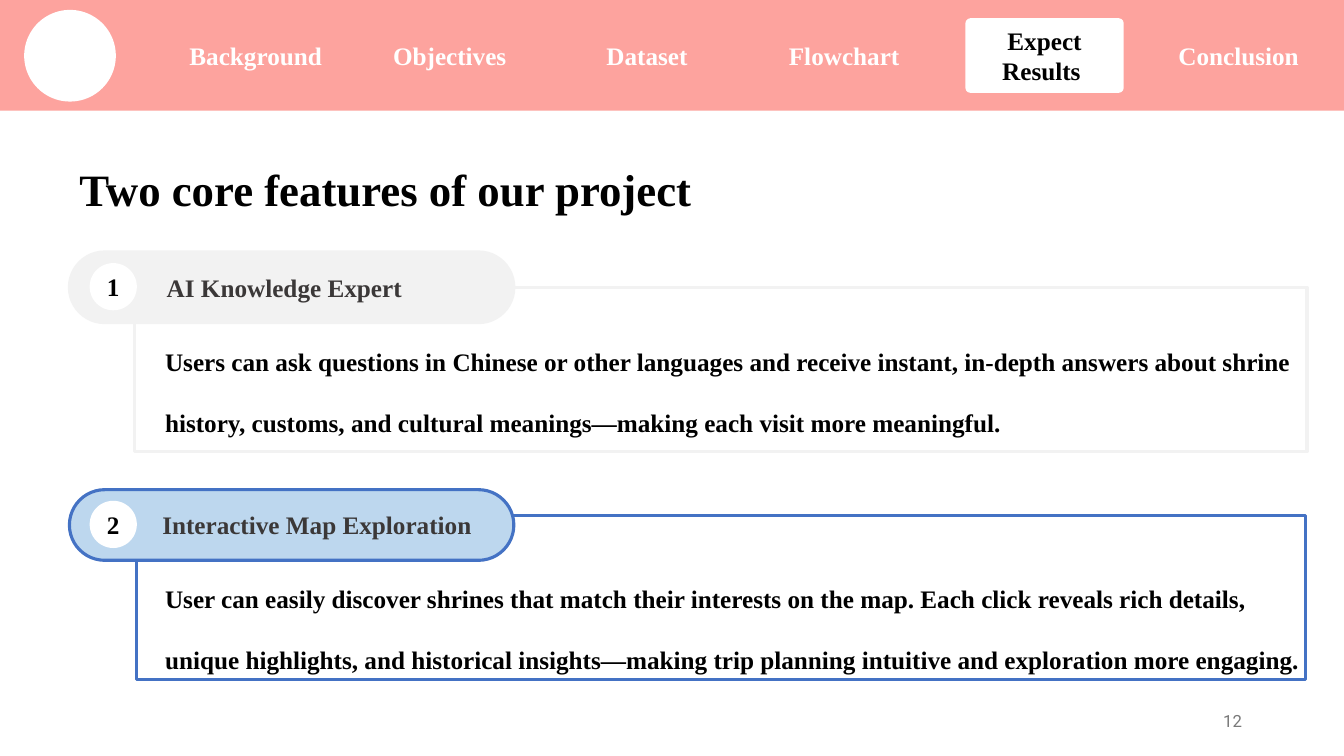
from dataclasses import dataclass
from typing import Optional

from pptx import Presentation
from pptx.dml.color import RGBColor
from pptx.enum.shapes import MSO_SHAPE as Kind
from pptx.enum.text import MSO_ANCHOR as Anchor, PP_ALIGN as Align
from pptx.util import Cm, Pt

WHITE, BLACK, CORAL = "FFFFFF", "000000", "FDA39E"
GREY, DARK, BLUE, SKY = "F2F2F2", "3B3838", "4472C4", "BDD7EE"
SERIF = {"name": "Times New Roman", "size": Pt(18), "bold": True}
PILL_LEFT, PILL_WIDE, PILL_HIGH = 1.75, 11.2, 1.78
TAB_LEFT, TAB_STEP = 4.45, 4.97
TABS = ["Background ", "Objectives ", "Dataset ", "Flowchart ",
        "Expect Results ", "Conclusion "]
ACTIVE = 4


@dataclass
class Box:
    left: float
    top: float
    width: float
    height: float


@dataclass
class Feature:
    title: str
    body: str
    top: float
    fill: str
    edge: str
    frame: Box
    label: Box
    text: Box
    align: Align
    back: Optional[str] = None


FEATURES = [
    Feature("AI Knowledge Expert",
            "Users can ask questions in Chinese or other languages and receive "
            "instant, in-depth answers about shrine history, customs, and "
            "cultural meanings—making each visit more meaningful.",
            6.35, GREY, GREY, Box(3.4, 7.24, 29.54, 4.14),
            Box(3.84, 6.73, 6.65, 1.02), Box(3.91, 7.85, 29.01, 3.1),
            Align.CENTER, GREY),
    Feature("Interactive Map Exploration",
            "User can easily discover shrines that match their interests on "
            "the map. Each click reveals rich details, unique highlights, and "
            "historical insights—making trip planning intuitive and "
            "exploration more engaging.",
            12.34, SKY, BLUE, Box(3.45, 12.98, 29.46, 4.14),
            Box(3.84, 12.7, 8.38, 1.02), Box(3.91, 13.82, 29.54, 3.1),
            Align.LEFT),
]


def paint(hue: str) -> RGBColor:
    return RGBColor.from_string(hue)


def place(box: Box) -> list:
    return [Cm(n) for n in (box.left, box.top, box.width, box.height)]


def draw(slide, kind: Kind, box: Box, fill: Optional[str] = None,
         edge: Optional[str] = None, round_by: Optional[float] = None):
    shape = slide.shapes.add_shape(kind, *place(box))
    shape.shadow.inherit = False
    if fill:
        shape.fill.solid()
        shape.fill.fore_color.rgb = paint(fill)
    else:
        shape.fill.background()
    if edge:
        shape.line.color.rgb = paint(edge)
        shape.line.width = Pt(2.25)
    else:
        shape.line.fill.background()
    if round_by is not None:
        shape.adjustments[0] = round_by
    return shape


def write(shape, text: str, hue: str = BLACK, align: Align = Align.LEFT,
          anchor: Anchor = Anchor.TOP, wrap: bool = True,
          space: float = 1.0, **font) -> None:
    frame = shape.text_frame
    frame.word_wrap, frame.vertical_anchor = wrap, anchor
    para = frame.paragraphs[0]
    para.alignment, para.line_spacing = align, space
    run = para.add_run()
    run.text = text
    for key, value in {**SERIF, **font}.items():
        setattr(run.font, key, value)
    run.font.color.rgb = paint(hue)


def add_text(slide, box: Box, text: str, **style) -> None:
    write(slide.shapes.add_textbox(*place(box)), text, **style)


def add_header(slide) -> None:
    draw(slide, Kind.RECTANGLE, Box(0, 0, 33.87, 2.79), CORAL)
    draw(slide, Kind.OVAL, Box(0.61, 0.25, 2.31, 2.31), WHITE)
    for i, name in enumerate(TABS):
        on = i == ACTIVE
        tab = draw(slide, Kind.ROUNDED_RECTANGLE,
                   Box(TAB_LEFT + i * TAB_STEP, 0.46, 3.99, 1.88),
                   WHITE if on else None, round_by=0.066)
        write(tab, name, BLACK if on else WHITE, Align.CENTER, Anchor.MIDDLE)


def add_feature(slide, num: int, item: Feature) -> None:
    draw(slide, Kind.RECTANGLE, item.frame, edge=item.edge)
    add_text(slide, item.text, item.body, space=2.0)
    draw(slide, Kind.ROUNDED_RECTANGLE,
         Box(PILL_LEFT, item.top, PILL_WIDE, PILL_HIGH),
         item.fill, item.edge, 0.5)
    label = draw(slide, Kind.RECTANGLE, item.label, item.back)
    write(label, item.title, DARK, item.align, wrap=False)
    badge = draw(slide, Kind.OVAL, Box(2.26, item.top + 0.28, 1.19, 1.19),
                 WHITE)
    write(badge, str(num), BLACK, Align.CENTER, Anchor.MIDDLE, wrap=False)


def main() -> None:
    deck = Presentation()
    deck.slide_width, deck.slide_height = Cm(33.87), Cm(19.05)
    slide = deck.slides.add_slide(deck.slide_layouts[6])
    add_header(slide)
    add_text(slide, Box(1.75, 3.94, 16.92, 1.63),
             "Two core features of our project", size=Pt(32))
    for num, item in enumerate(FEATURES, 1):
        add_feature(slide, num, item)
    add_text(slide, Box(23.93, 17.65, 7.62, 1.02), "12", hue="797979",
             align=Align.RIGHT, anchor=Anchor.MIDDLE,
             name="Roboto", size=Pt(12), bold=False)
    deck.save("out.pptx")


if __name__ == "__main__":
    main()
